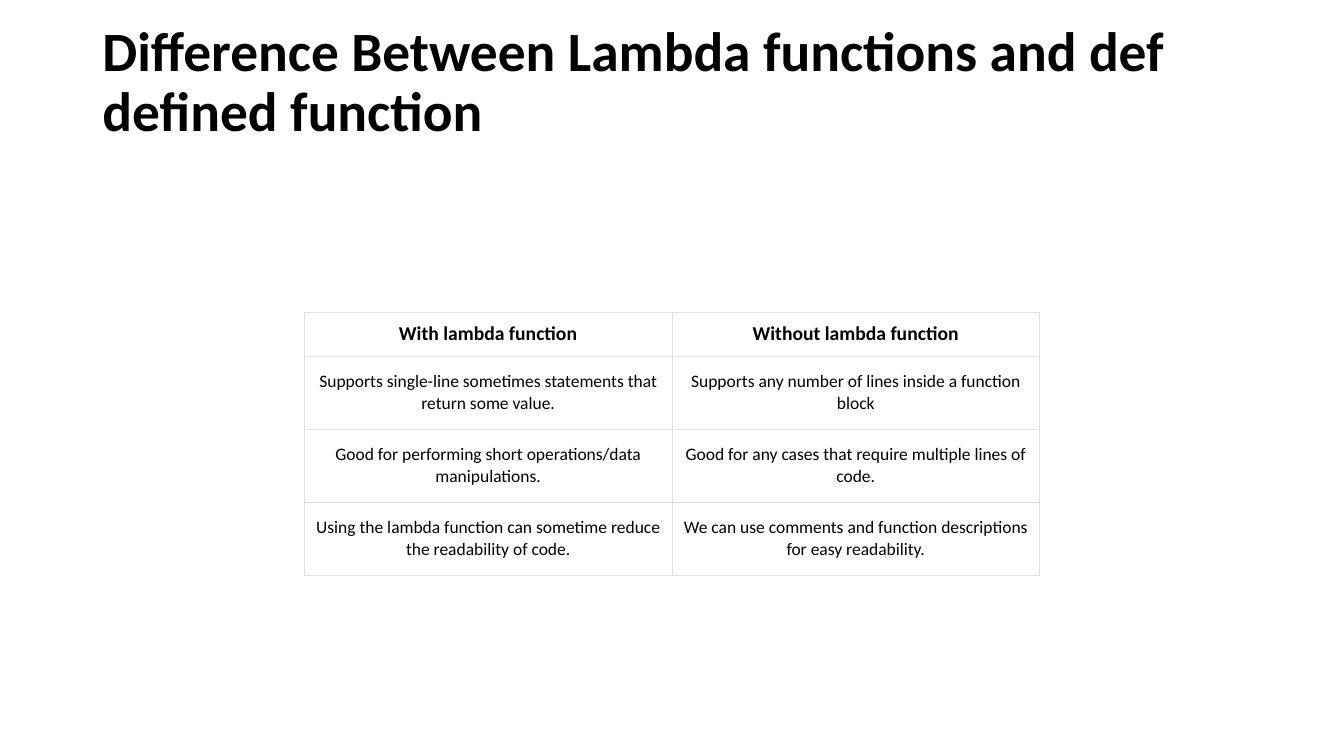
from lxml.etree import SubElement
from pptx import Presentation
from pptx.dml.color import RGBColor
from pptx.enum.text import MSO_ANCHOR, MSO_AUTO_SIZE, PP_ALIGN
from pptx.oxml.ns import qn
from pptx.util import Pt

COLORS = {"text": "000000", "background": "FFFFFF", "border": "DFDFDF"}
FONT = "Calibri"

TITLE = "Difference Between Lambda functions and def defined function"
COMPARISON = [
    ("With lambda function", "Without lambda function"),
    ("Supports single-line sometimes statements that return some value.",
     "Supports any number of lines inside a function block"),
    ("Good for performing short operations/data manipulations.",
     "Good for any cases that require multiple lines of code."),
    ("Using the lambda function can sometime reduce the readability of code.",
     "We can use comments and function descriptions for easy readability."),
]


class SlideBuilder:
    def __init__(self, slide):
        self.slide = slide

    def format_text(self, paragraph, size, bold, alignment):
        paragraph.alignment = alignment
        for run in paragraph.runs:
            run.font.name = FONT
            run.font.size = Pt(size)
            run.font.bold = bold
            run.font.color.rgb = RGBColor.from_string(COLORS["text"])

    def add_title(self, text, left, top, width, height, size):
        shape = self.slide.shapes.title
        shape.left, shape.top = Pt(left), Pt(top)
        shape.width, shape.height = Pt(width), Pt(height)
        text_frame = shape.text_frame
        text_frame.text = text
        text_frame.word_wrap = True
        text_frame.auto_size = MSO_AUTO_SIZE.NONE
        text_frame.vertical_anchor = MSO_ANCHOR.MIDDLE
        # The larger bottom margin lifts the two lines above the middle
        text_frame.margin_bottom = Pt(46)
        paragraph = text_frame.paragraphs[0]
        paragraph.line_spacing = 0.9
        self.format_text(paragraph, size, True, PP_ALIGN.LEFT)

    def add_borders(self, cell, width):
        properties = cell._tc.get_or_add_tcPr()
        for index, side in enumerate(("a:lnL", "a:lnR", "a:lnT", "a:lnB")):
            line = properties.makeelement(qn(side), {"w": str(Pt(width))})
            properties.insert(index, line)
            fill = SubElement(line, qn("a:solidFill"))
            SubElement(fill, qn("a:srgbClr"), val=COLORS["border"])

    def add_table(self, rows, left, top, column_width, header_height, row_height):
        columns = len(rows[0])
        height = header_height + row_height * (len(rows) - 1)
        table = self.slide.shapes.add_table(
            len(rows), columns, Pt(left), Pt(top),
            Pt(column_width * columns), Pt(height)).table
        table.horz_banding = False
        for column in table.columns:
            column.width = Pt(column_width)
        for row_index, texts in enumerate(rows):
            header = row_index == 0
            table.rows[row_index].height = Pt(header_height if header else row_height)
            for column_index, text in enumerate(texts):
                cell = table.cell(row_index, column_index)
                cell.text_frame.text = text
                cell.vertical_anchor = MSO_ANCHOR.MIDDLE
                side_margin = 2.9 if header and column_index == 0 else 7.2
                cell.margin_left = cell.margin_right = Pt(side_margin)
                cell.margin_top = cell.margin_bottom = Pt(7.2 if header else 10.8)
                cell.fill.solid()
                cell.fill.fore_color.rgb = RGBColor.from_string(COLORS["background"])
                self.add_borders(cell, 0.23)
                self.format_text(cell.text_frame.paragraphs[0],
                                 14 if header else 12.5, header, PP_ALIGN.CENTER)


def main():
    presentation = Presentation()
    presentation.slide_width, presentation.slide_height = Pt(960), Pt(540)
    slide = presentation.slides.add_slide(presentation.slide_layouts[5])
    builder = SlideBuilder(slide)

    # Heading
    builder.add_title(TITLE, 66, 28.75, 828, 104.4, size=39.6)

    # Comparison table
    builder.add_table(COMPARISON, 217.4, 222.8, column_width=262.6,
                      header_height=31.4, row_height=51.8)

    presentation.save("out.pptx")


if __name__ == "__main__":
    main()
